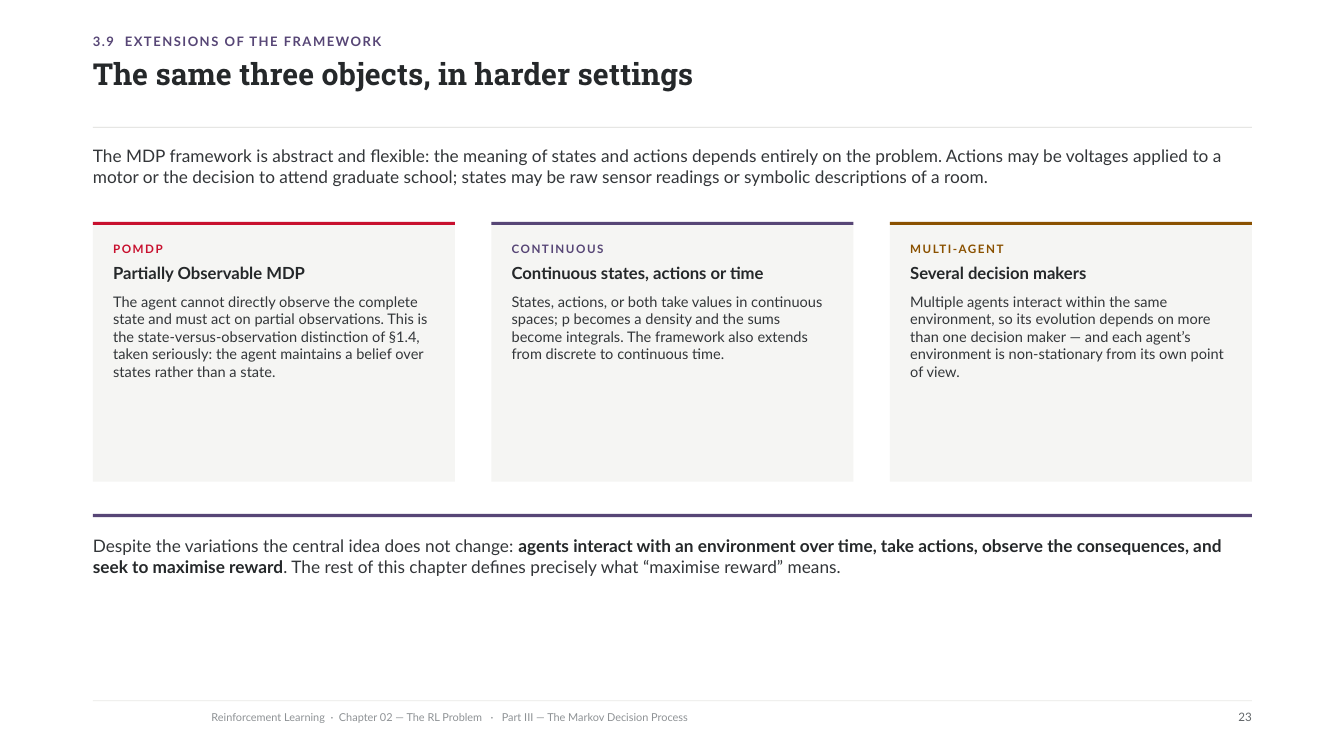
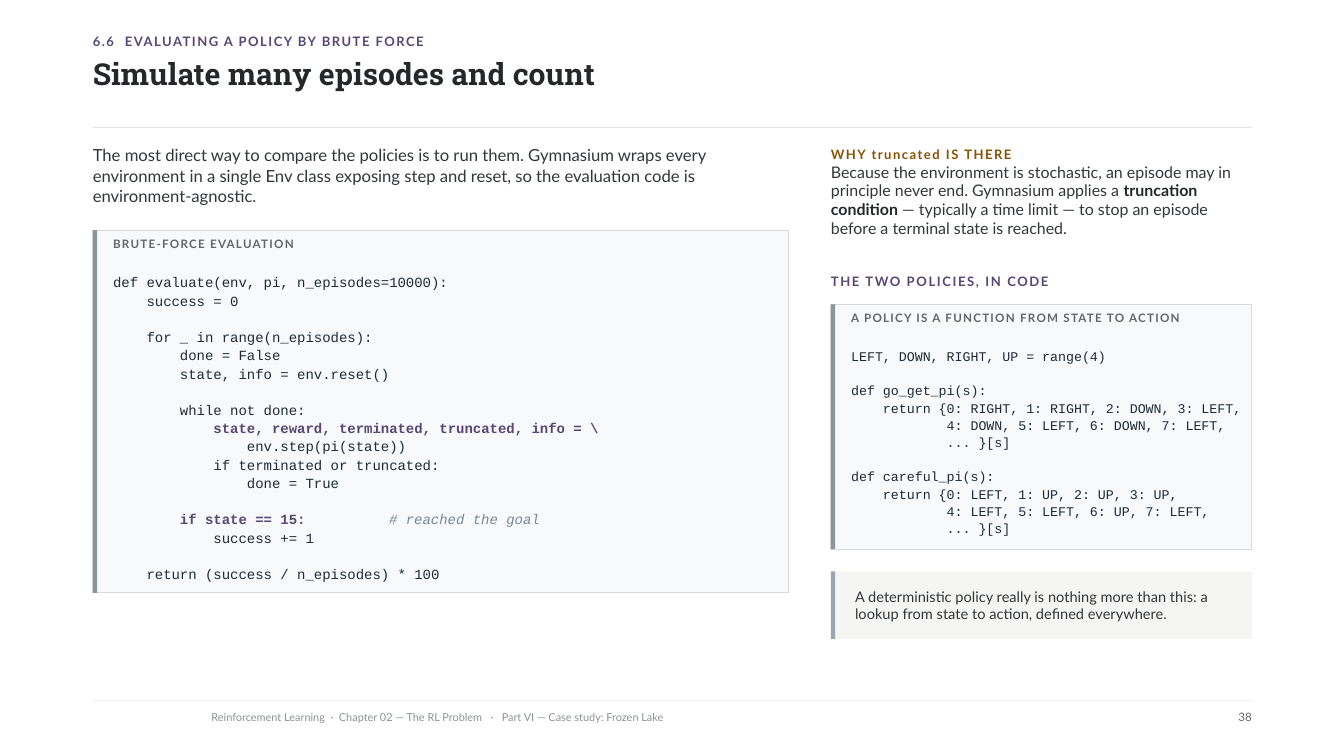
from dataclasses import dataclass, replace

from pptx import Presentation
from pptx.dml.color import RGBColor
from pptx.enum import shapes, text
from pptx.util import Cm, Pt

# ---- Content ----
EXTENSIONS = {
    "kicker": "3.9  EXTENSIONS OF THE FRAMEWORK",
    "title": "The same three objects, in harder settings",
    "part": "Part III — The Markov Decision Process",
    "number": "23",
    "intro": "The MDP framework is abstract and flexible: the meaning of states and actions depends "
             "entirely on the problem. Actions may be voltages applied to a motor or the decision to "
             "attend graduate school; states may be raw sensor readings or symbolic descriptions of a room.",
    "cards": [
        ("red", "POMDP", "Partially Observable MDP",
         "The agent cannot directly observe the complete state and must act on partial observations. "
         "This is the state-versus-observation distinction of §1.4, taken seriously: the agent "
         "maintains a belief over states rather than a state."),
        ("purple", "CONTINUOUS", "Continuous states, actions or time",
         "States, actions, or both take values in continuous spaces; p becomes a density and the sums "
         "become integrals. The framework also extends from discrete to continuous time."),
        ("brown", "MULTI-AGENT", "Several decision makers",
         "Multiple agents interact within the same environment, so its evolution depends on more than "
         "one decision maker — and each agent’s environment is non-stationary from its own point of view."),
    ],
    # Odd-numbered pieces are emphasised
    "closing": [
        "Despite the variations the central idea does not change: ",
        "agents interact with an environment over time, take actions, observe the consequences, "
        "and seek to maximise reward",
        ". The rest of this chapter defines precisely what “maximise reward” means.",
    ],
}

SIMULATION = {
    "kicker": "6.6  EVALUATING A POLICY BY BRUTE FORCE",
    "title": "Simulate many episodes and count",
    "part": "Part VI — Case study: Frozen Lake",
    "number": "38",
    "intro": "The most direct way to compare the policies is to run them. Gymnasium wraps every "
             "environment in a single Env class exposing step and reset, so the evaluation code is "
             "environment-agnostic.",
    "evaluation": ("BRUTE-FORCE EVALUATION", r"""def evaluate(env, pi, n_episodes=10000):
    success = 0

    for _ in range(n_episodes):
        done = False
        state, info = env.reset()

        while not done:
            state, reward, terminated, truncated, info = \
                env.step(pi(state))
            if terminated or truncated:
                done = True

        if state == 15:          # reached the goal
            success += 1

    return (success / n_episodes) * 100"""),
    "why": ("WHY truncated IS THERE", [
        "Because the environment is stochastic, an episode may in principle never end. "
        "Gymnasium applies a ",
        "truncation condition",
        " — typically a time limit — to stop an episode before a terminal state is reached.",
    ]),
    "policies_heading": "THE TWO POLICIES, IN CODE",
    "policies": ("A POLICY IS A FUNCTION FROM STATE TO ACTION", """LEFT, DOWN, RIGHT, UP = range(4)

def go_get_pi(s):
    return {0: RIGHT, 1: RIGHT, 2: DOWN, 3: LEFT,
            4: DOWN, 5: LEFT, 6: DOWN, 7: LEFT,
            ... }[s]

def careful_pi(s):
    return {0: LEFT, 1: UP, 2: UP, 3: UP,
            4: LEFT, 5: LEFT, 6: UP, 7: LEFT,
            ... }[s]"""),
    "note": "A deterministic policy really is nothing more than this: a lookup from state to action, "
            "defined everywhere.",
}

COURSE = "Reinforcement Learning  ·  Chapter 02 — The RL Problem"
KEY_CODE = ("state, reward,", "if state ==")


# ---- Theme ----
@dataclass(frozen=True)
class Style:
    size: float
    leading: float
    color: str = "body"
    bold: bool = False
    italic: bool = False
    font: str = "Lato"
    tracking: float = 0
    before: float = 0


class Theme:
    colors = {
        "ink": "25282A", "body": "333639", "purple": "574676", "red": "C8102E", "brown": "8A5100",
        "muted": "626669", "footer": "8E9295", "rule": "D9D9D6", "footer_rule": "E9E9E6",
        "card": "F5F5F3", "code_panel": "F7F9FB", "code_bar": "8A959E", "note_bar": "9AA6B2",
        "code": "1F2A37", "comment": "768896",
    }
    kicker = Style(9.3, 9.3, "purple", True, tracking=1.1)
    title = Style(21.6, 22.5, "ink", True, font="Roboto Slab")
    footer = Style(7.8, 7.8, "footer")
    number = Style(8.3, 8.3, "muted")
    lead = Style(12.3, 15.1)
    closing = Style(12.3, 15.3)
    tag = Style(8.3, 9.8, bold=True, tracking=1.1)
    card_title = Style(11.9, 13.3, "ink", True, before=6)
    card_body = Style(10.4, 12.5, before=7)
    intro = Style(11.9, 14.5)
    why_heading = Style(9.3, 11, "brown", True, tracking=1.1)
    why = Style(11.4, 13.4)
    heading = replace(kicker, tracking=1.2)
    code_title = Style(8.3, 8.3, "muted", True, tracking=0.9)
    code_large = Style(10, 13, "code", font="Courier New")
    code_small = Style(9.5, 12.3, "code", font="Courier New")
    note = Style(10.4, 12.5)


# Layout, in centimetres
LEFT, WIDTH = 2.34, 29.21
RIGHT = LEFT + WIDTH
PAD = 0.51
BODY_TOP = 3.65
HAIRLINE = 0.02


# ---- Building blocks ----
def color(name):
    return RGBColor.from_string(Theme.colors[name])


def add_block(slide, left, top, width, height, fill, border=None):
    block = slide.shapes.add_shape(shapes.MSO_SHAPE.RECTANGLE, Cm(left), Cm(top), Cm(width), Cm(height))
    block.shadow.inherit = False
    block.fill.solid()
    block.fill.fore_color.rgb = color(fill)
    if border:
        block.line.color.rgb = color(border)
        block.line.width = Pt(0.75)
    else:
        block.line.fill.background()


def format_run(run, style):
    run.font.name = style.font
    run.font.size = Pt(style.size)
    run.font.bold = style.bold
    run.font.italic = style.italic
    run.font.color.rgb = color(style.color)
    if style.tracking:
        run._r.get_or_add_rPr().set("spc", str(round(style.tracking * 100)))


def add_text(slide, left, top, width, height, paragraphs, wrap=True, align=text.PP_ALIGN.LEFT):
    """Each paragraph is a list of (text, style) runs; its first style sets the spacing."""
    frame = slide.shapes.add_textbox(Cm(left), Cm(top), Cm(width), Cm(height)).text_frame
    frame.margin_left = frame.margin_top = frame.margin_right = frame.margin_bottom = 0
    frame.word_wrap = wrap
    for index, runs in enumerate(paragraphs):
        paragraph = frame.add_paragraph() if index else frame.paragraphs[0]
        paragraph.alignment = align
        paragraph.line_spacing = Pt(runs[0][1].leading)
        if index:
            paragraph.space_before = Pt(runs[0][1].before)
        for words, style in runs:
            run = paragraph.add_run()
            run.text = words
            format_run(run, style)


def add_line(slide, left, top, width, height, words, style, **options):
    add_text(slide, left, top, width, height, [[(words, style)]], **options)


def emphasise(pieces, style):
    strong = replace(style, color="ink", bold=True)
    return [(piece, strong if i % 2 else style) for i, piece in enumerate(pieces)]


def code_paragraphs(source, style):
    """Colour key lines and comments; a blank line becomes space before the next line."""
    paragraphs, before = [], 0
    for line in source.splitlines():
        if not line:
            before = style.leading
            continue
        base = replace(style, before=before)
        before = 0
        statement, mark, remark = line.partition("#")
        if statement.strip().startswith(KEY_CODE):
            base = replace(base, color="purple", bold=True)
        runs = [(statement, base)]
        if mark:
            runs.append((mark + remark, replace(style, color="comment", italic=True)))
        paragraphs.append(runs)
    return paragraphs


def add_code_panel(slide, left, top, width, height, panel, style):
    """The code may run to the panel's right edge, so that its longest line stays whole."""
    heading, source = panel
    add_block(slide, left, top, width, height, "code_panel", "rule")
    add_block(slide, left, top, 0.11, height, "code_bar")
    add_line(slide, left + PAD, top + 0.23, width - 2 * PAD, 0.56, heading, Theme.code_title)
    add_text(slide, left + PAD, top + 1.07, width - PAD, height - 1.27,
             code_paragraphs(source, style), wrap=False)


def start_slide(deck, content):
    """Add a blank slide with the shared heading and footer."""
    slide = deck.slides.add_slide(deck.slide_layouts[6])
    add_line(slide, LEFT, 0.91, WIDTH, 0.56, content["kicker"], Theme.kicker)
    add_line(slide, LEFT, 1.52, WIDTH, 1.32, content["title"], Theme.title)
    add_block(slide, LEFT, 3.2, WIDTH, HAIRLINE, "rule")
    add_block(slide, LEFT, 17.65, WIDTH, HAIRLINE, "footer_rule")
    add_line(slide, 5.33, 17.96, 23.11, 0.56, f"{COURSE}   ·   {content['part']}", Theme.footer)
    add_line(slide, RIGHT - 3.05, 17.96, 3.05, 0.56, content["number"], Theme.number,
             align=text.PP_ALIGN.RIGHT)
    return slide


# ---- Slides ----
def build_extensions(deck, content):
    slide = start_slide(deck, content)
    add_line(slide, LEFT, BODY_TOP, WIDTH, 1.17, content["intro"], Theme.lead)

    gap, top, height = 0.92, 5.59, 6.55
    count = len(content["cards"])
    width = (WIDTH - gap * (count - 1)) / count
    for column, (accent, tag, heading, body) in enumerate(content["cards"]):
        left = LEFT + column * (width + gap)
        add_block(slide, left, top, width, height, "card")
        add_block(slide, left, top, width, 0.08, accent)
        add_text(slide, left + PAD, top + PAD, width - 2 * PAD, 3.58, [
            [(tag, replace(Theme.tag, color=accent))],
            [(heading, Theme.card_title)],
            [(body, Theme.card_body)],
        ])

    add_block(slide, LEFT, 12.95, WIDTH, 0.08, "purple")
    add_text(slide, LEFT, 13.46, WIDTH, 1.19, [emphasise(content["closing"], Theme.closing)])


def build_simulation(deck, content):
    slide = start_slide(deck, content)
    main_width = 17.53
    add_line(slide, LEFT, BODY_TOP, main_width, 1.63, content["intro"], Theme.intro)
    add_code_panel(slide, LEFT, 5.8, main_width, 9.14, content["evaluation"], Theme.code_large)

    side = 20.94
    side_width = RIGHT - side
    heading, reason = content["why"]
    add_text(slide, side, 3.71, side_width, 2.59,
             [[(heading, Theme.why_heading)], emphasise(reason, Theme.why)])
    add_line(slide, side, 6.96, side_width, 0.51, content["policies_heading"], Theme.heading)
    add_code_panel(slide, side, 7.67, side_width, 6.17, content["policies"], Theme.code_small)

    note_top, note_height = 14.4, 1.7
    add_block(slide, side, note_top, side_width, note_height, "card")
    add_block(slide, side, note_top, 0.11, note_height, "note_bar")
    add_line(slide, side + 0.61, note_top + 0.41, side_width - 1.08, 0.89, content["note"], Theme.note)


def main():
    deck = Presentation()
    deck.slide_width, deck.slide_height = Cm(33.87), Cm(19.05)
    build_extensions(deck, EXTENSIONS)
    build_simulation(deck, SIMULATION)
    deck.save("out.pptx")


if __name__ == "__main__":
    main()
